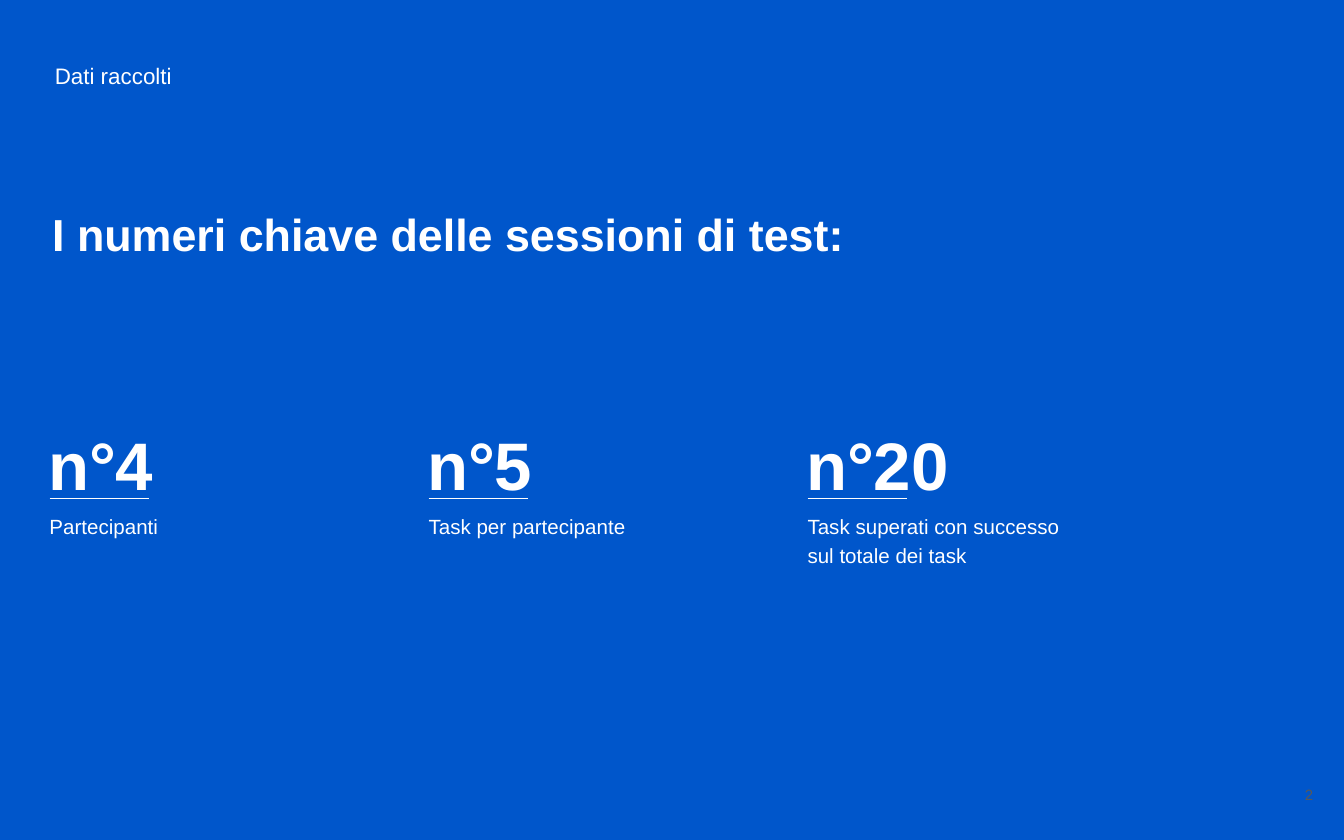
from lxml.etree import SubElement
from pptx import Presentation
from pptx.dml.color import RGBColor
from pptx.enum.shapes import MSO_CONNECTOR as Connector
from pptx.enum.text import MSO_ANCHOR as Anchor, PP_ALIGN as Align
from pptx.oxml.ns import qn
from pptx.util import Inches, Pt

COLORS = {"background": "0056CB", "text": "FFFFFF", "page_number": "595959"}
FONT = "Arial"
SECTION = "Dati raccolti"
TITLE = "I numeri chiave delle sessioni di test:"
PAGE_NUMBER = "2"
FIGURES = [
    {"number": "n°4", "number_width": 1.23,
     "label": ["Partecipanti"], "label_size": (1.23, 0.39)},
    {"number": "n°5", "number_width": 1.23,
     "label": ["Task per partecipante"], "label_size": (2.32, 1.46)},
    {"number": "n°20", "number_width": 1.81,
     "label": ["Task superati con successo", "sul totale dei task"],
     "label_size": (2.32, 1.46)},
]

INSET = 0.1
FIRST_COLUMN, COLUMN_PITCH = 0.37, 2.82
NUMBER_TOP, RULE_TOP, LABEL_TOP = 2.96, 3.71, 3.7
RULE_WIDTH = 0.74

deck = Presentation()
deck.slide_width, deck.slide_height = Inches(10), Inches(6.25)
page = deck.slides.add_slide(deck.slide_layouts[6])
page.background.fill.solid()
page.background.fill.fore_color.rgb = RGBColor.from_string(COLORS["background"])


def add_text(lines, left, top, width, height, size, bold=False, color="text",
             anchor=Anchor.TOP, align=Align.LEFT, spacing=1.0):
    box = page.shapes.add_textbox(*map(Inches, (left, top, width, height)))
    frame = box.text_frame
    frame.word_wrap = True
    frame.vertical_anchor = anchor
    frame.margin_left = frame.margin_right = Inches(INSET)
    frame.margin_top = frame.margin_bottom = Inches(INSET)
    frame.text = "\n".join(lines)
    for para in frame.paragraphs:
        para.alignment = align
        para.line_spacing = spacing
        para.font.name = FONT
        para.font.size = Pt(size)
        para.font.bold = bold
        para.font.color.rgb = RGBColor.from_string(COLORS[color])


def add_rule(left, top, width):
    rule = page.shapes.add_connector(
        Connector.STRAIGHT, *map(Inches, (left, top, left + width, top)))
    rule.line.color.rgb = RGBColor.from_string(COLORS["text"])
    rule.line.width = Pt(0.75)
    SubElement(rule.element.spPr, qn("a:effectLst"))


add_text([SECTION], 0.31, 0.39, 4.24, 0.34, 12, anchor=Anchor.MIDDLE)
add_text([TITLE], 0.29, 1.44, 7.42, 0.96, 24, bold=True)

for column, figure in enumerate(FIGURES):
    left = FIRST_COLUMN + column * COLUMN_PITCH
    add_text([figure["number"]], left - INSET - 0.01, NUMBER_TOP,
             figure["number_width"], 0.63, 36, bold=True, spacing=1.15)
    add_rule(left, RULE_TOP, RULE_WIDTH)
    add_text(figure["label"], left - INSET, LABEL_TOP,
             *figure["label_size"], 11, spacing=1.15)

add_text([PAGE_NUMBER], 9.27, 5.67, 0.6, 0.48, 8, color="page_number",
         anchor=Anchor.MIDDLE, align=Align.RIGHT)

deck.save("out.pptx")
